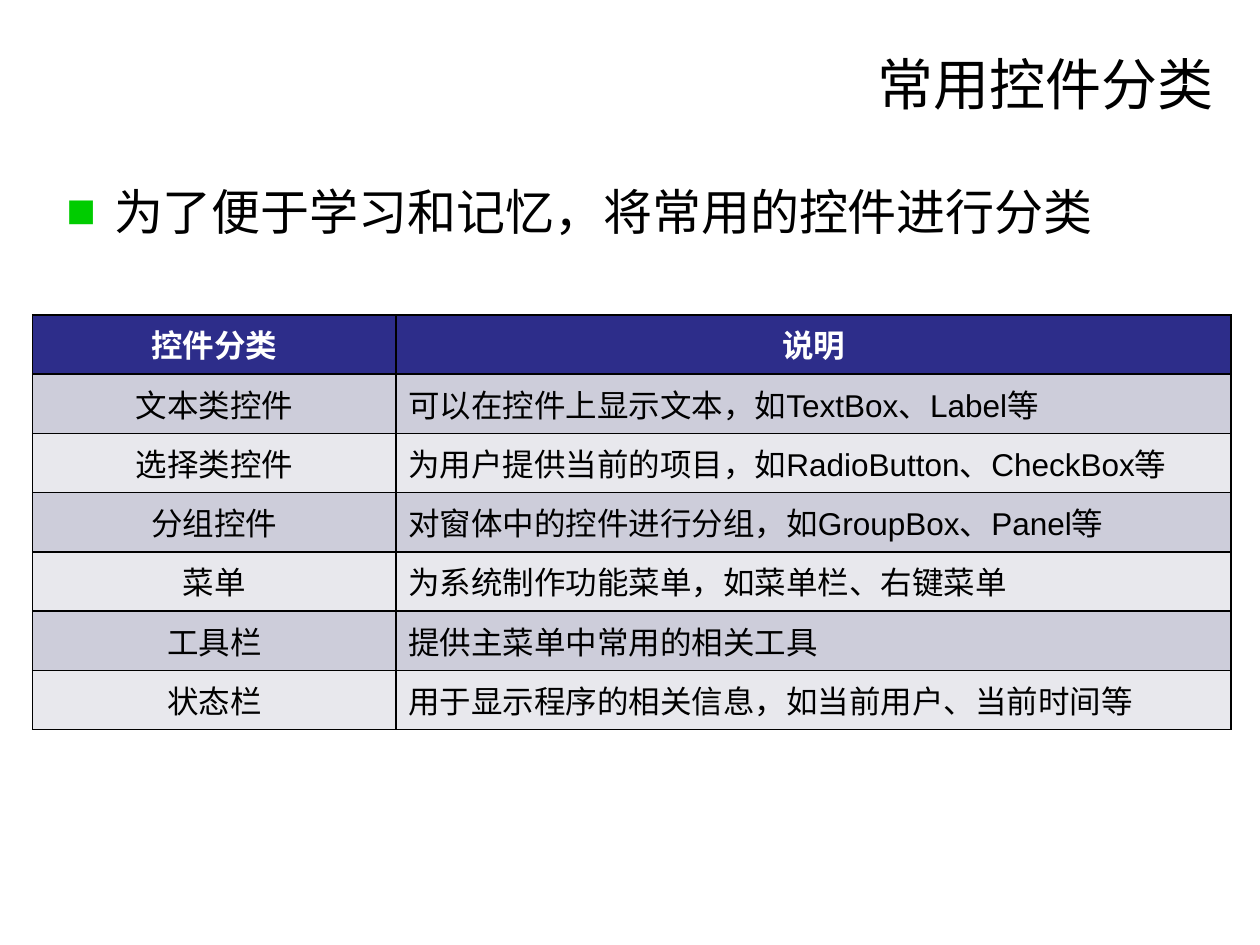
from lxml.etree import SubElement
from pptx import Presentation
from pptx.dml.color import RGBColor
from pptx.enum.text import MSO_ANCHOR, PP_ALIGN
from pptx.oxml.ns import qn
from pptx.util import Cm, Pt

COLORS = {
    "text": "000000",
    "header_text": "FFFFFF",
    "header": "2D2D8A",
    "odd_row": "CDCDDA",
    "even_row": "E8E8ED",
    "border": "000000",
    "bullet": "00CC00",
}
ROWS = [
    ("控件分类", "说明"),
    ("文本类控件", "可以在控件上显示文本，如TextBox、Label等"),
    ("选择类控件", "为用户提供当前的项目，如RadioButton、CheckBox等"),
    ("分组控件", "对窗体中的控件进行分组，如GroupBox、Panel等"),
    ("菜单", "为系统制作功能菜单，如菜单栏、右键菜单"),
    ("工具栏", "提供主菜单中常用的相关工具"),
    ("状态栏", "用于显示程序的相关信息，如当前用户、当前时间等"),
]


def write_text(text_frame, text, size=18, color="text", bold=False, align=PP_ALIGN.LEFT):
    text_frame.word_wrap = True
    paragraph = text_frame.paragraphs[0]
    paragraph.alignment = align
    run = paragraph.add_run()
    run.text = text
    run.font.name = "Arial"
    run.font.size = Pt(size)
    run.font.bold = bold
    run.font.color.rgb = RGBColor.from_string(COLORS[color])
    return paragraph


def add_borders(cell):
    properties = cell._tc.get_or_add_tcPr()
    for position, side in enumerate(("a:lnL", "a:lnR", "a:lnT", "a:lnB")):
        line = SubElement(properties, qn(side), w=str(Pt(1)))
        properties.insert(position, line)
        fill = SubElement(line, qn("a:solidFill"))
        SubElement(fill, qn("a:srgbClr"), val=COLORS["border"])


presentation = Presentation()
presentation.slide_width = Cm(25.4)
presentation.slide_height = Cm(19.05)
slide = presentation.slides.add_slide(presentation.slide_layouts[6])

title = slide.shapes.add_textbox(Cm(6.3), Cm(0.91), Cm(18.42), Cm(1.55))
title.text_frame.vertical_anchor = MSO_ANCHOR.MIDDLE
write_text(title.text_frame, "常用控件分类", size=32, align=PP_ALIGN.RIGHT)

body = slide.shapes.add_textbox(Cm(1.09), Cm(3.53), Cm(23.4), Cm(1.6))
paragraph = write_text(body.text_frame, "为了便于学习和记忆，将常用的控件进行分类", size=28)
properties = paragraph._p.get_or_add_pPr()
properties.set("marL", str(Cm(0.96)))
properties.set("indent", str(Cm(-0.96)))
bullet_color = SubElement(properties, qn("a:buClr"))
SubElement(bullet_color, qn("a:srgbClr"), val=COLORS["bullet"])
SubElement(properties, qn("a:buFont"), typeface="Arial")
SubElement(properties, qn("a:buChar"), char="■")

table = slide.shapes.add_table(
    len(ROWS), 2, Cm(0.66), Cm(6.35), Cm(24.16), Cm(8.36)
).table
table.columns[0].width = Cm(7.32)
table.columns[1].width = Cm(16.84)

for row_index, row in enumerate(ROWS):
    is_header = row_index == 0
    row_color = "header" if is_header else ("even_row", "odd_row")[row_index % 2]
    for column_index, text in enumerate(row):
        cell = table.cell(row_index, column_index)
        cell.fill.solid()
        cell.fill.fore_color.rgb = RGBColor.from_string(COLORS[row_color])
        add_borders(cell)
        centred = is_header or column_index == 0
        write_text(
            cell.text_frame,
            text,
            color="header_text" if is_header else "text",
            bold=is_header,
            align=PP_ALIGN.CENTER if centred else PP_ALIGN.LEFT,
        )

presentation.save("out.pptx")
